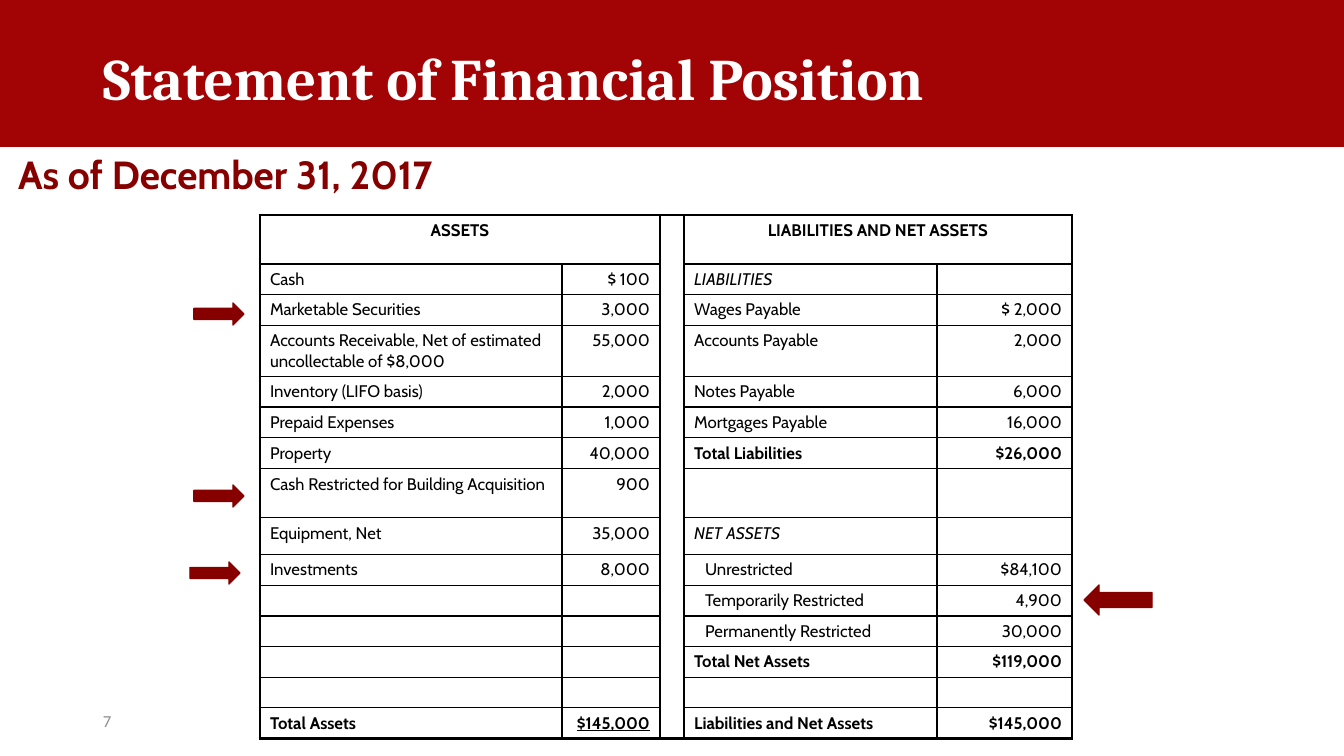
"""Build the Statement of Financial Position slide."""
from lxml import etree
from pptx import Presentation
from pptx import util as u
from pptx.dml.color import RGBColor
from pptx.enum import shapes, text
from pptx.oxml import ns

HEADING = "Statement of Financial Position"
DATE_LINE = "As of December 31, 2017"
PAGE = "7"
ROWS = [
    ("ASSETS", "", "LIABILITIES AND NET ASSETS", ""),
    ("Cash", "$ 100", "LIABILITIES", ""),
    ("Marketable Securities", "3,000", "Wages Payable", "$ 2,000"),
    ("Accounts Receivable, Net of estimated uncollectable of $8,000", "55,000",
     "Accounts Payable", "2,000"),
    ("Inventory (LIFO basis)", "2,000", "Notes Payable", "6,000"),
    ("Prepaid Expenses", "1,000", "Mortgages Payable", "16,000"),
    ("Property", "40,000", "Total Liabilities", "$26,000"),
    ("Cash Restricted for Building Acquisition", "900", "", ""),
    ("Equipment, Net", "35,000", "NET ASSETS", ""),
    ("Investments", "8,000", "Unrestricted", "$84,100"),
    ("", "", "Temporarily Restricted", "4,900"),
    ("", "", "Permanently Restricted", "30,000"),
    ("", "", "Total Net Assets", "$119,000"),
    ("", "", "", ""),
    ("Total Assets", "$145,000", "Liabilities and Net Assets", "$145,000"),
]
COLUMN_WIDTHS = [302, 98, 24, 253, 135]
ROW_HEIGHTS = [49, 30, 30, 51, 30, 30, 31, 49, 37, 30, 30, 30, 30, 30, 30]
ARROWS = [
    (194, 303, 50, 22, 0),
    (190, 562, 50, 22, 0),
    (194, 485, 50, 22, 0),
    (1084, 585, 68, 30, 180),
]
COLORS = {"banner": "A20305", "accent": "870000", "ink": "000000",
          "white": "FFFFFF", "page": "8C8C8C"}
EMU_PER_PX = 914400 / 100.8
SPACER = 2


def px(length):
    return u.Emu(round(length * EMU_PER_PX))


def color(name):
    return RGBColor.from_string(COLORS[name])


def style_runs(paragraph, size, font, color_name, bold=False, italic=False):
    for run in paragraph.runs:
        run.font.size = u.Pt(size)
        run.font.name = font
        run.font.color.rgb = color(color_name)
        run.font.bold = bold
        run.font.italic = italic


def fill_text(shape, content, size, font, color_name, bold=False, spacing=1.0):
    frame = shape.text_frame
    frame.text = content
    frame.word_wrap = True
    frame.auto_size = text.MSO_AUTO_SIZE.NONE
    frame.vertical_anchor = text.MSO_ANCHOR.MIDDLE
    paragraph = frame.paragraphs[0]
    paragraph.alignment = text.PP_ALIGN.LEFT
    paragraph.line_spacing = spacing
    style_runs(paragraph, size, font, color_name, bold)


def add_text(slide, box, *style):
    fill_text(slide.shapes.add_textbox(*map(px, box)), *style)


def add_block(slide, kind, box, color_name):
    shape = slide.shapes.add_shape(kind, *map(px, box))
    shape.shadow.inherit = False
    shape.fill.solid()
    shape.fill.fore_color.rgb = color(color_name)
    shape.line.color.rgb = color(color_name)
    shape.line.width = u.Pt(1)
    return shape


def set_borders(cell, row, column):
    last_row = row + max(cell.span_height, 1)
    last_column = column + max(cell.span_width, 1)
    outer = {"L": column == 0, "R": last_column == len(COLUMN_WIDTHS),
             "T": row == 0, "B": last_row == len(ROWS)}
    properties = cell._tc.get_or_add_tcPr()
    for side, is_outer in outer.items():
        width = u.Pt(2.25 if is_outer else 1)
        line = etree.SubElement(properties, ns.qn(f"a:ln{side}"), w=str(width))
        fill = etree.SubElement(line, ns.qn("a:solidFill"))
        etree.SubElement(fill, ns.qn("a:srgbClr"), val=COLORS["ink"])


def fill_cell(cell, content, row, column, bold):
    cell.text = content
    paragraph = cell.text_frame.paragraphs[0]
    is_amount = column in (1, 4)
    is_section = row > 0 and not is_amount and content.isupper()
    style_runs(paragraph, 12, "Cabin", "ink", bold, is_section)
    if not content:
        etree.SubElement(paragraph._p, ns.qn("a:endParaRPr"), sz="1200")
    if row == 0:
        paragraph.alignment = text.PP_ALIGN.CENTER
    elif is_amount:
        paragraph.alignment = text.PP_ALIGN.RIGHT
    if column == 3 and content.endswith("estricted"):
        cell.margin_left = px(21)


def add_statement(slide):
    frame = slide.shapes.add_table(
        len(ROWS), len(COLUMN_WIDTHS), px(260), px(215),
        px(sum(COLUMN_WIDTHS)), px(sum(ROW_HEIGHTS)))
    table = frame.table
    table.first_row = table.horz_banding = False
    for column, width in enumerate(COLUMN_WIDTHS):
        table.columns[column].width = px(width)
    for row, height in enumerate(ROW_HEIGHTS):
        table.rows[row].height = px(height)
    for first in (0, 3):
        table.cell(0, first).merge(table.cell(0, first + 1))
    table.cell(0, SPACER).merge(table.cell(len(ROWS) - 1, SPACER))

    for row, values in enumerate(ROWS):
        contents = values[:SPACER] + ("",) + values[SPACER:]
        for column, content in enumerate(contents):
            cell = table.cell(row, column)
            label = contents[0 if column < SPACER else 3]
            bold = row in (0, len(ROWS) - 1) or label.startswith("Total")
            fill_cell(cell, content, row, column, bold)
            if not cell.is_spanned:
                set_borders(cell, row, column)
            cell.fill.background()
    table.cell(len(ROWS) - 1, 1).text_frame.paragraphs[0].runs[0].font.underline = True


def main():
    presentation = Presentation()
    presentation.slide_width, presentation.slide_height = px(1344), px(756)
    slide = presentation.slides.add_slide(presentation.slide_layouts[5])

    title = slide.shapes.title
    title.left, title.top, title.width, title.height = map(px, (8, 86, 1139, 125))
    fill_text(title, DATE_LINE, 28, "Cabin", "accent", True, 0.75)
    title.text_frame.margin_top = px(66)
    title.text_frame.margin_bottom = px(5)

    add_text(slide, (93, 701, 302, 40), PAGE, 12, "Calibri", "page")
    add_statement(slide)
    for *box, rotation in ARROWS:
        arrow = add_block(slide, shapes.MSO_SHAPE.RIGHT_ARROW, box, "accent")
        arrow.rotation = rotation
    add_block(slide, shapes.MSO_SHAPE.RECTANGLE, (0, 0, 1344, 146), "banner")
    add_text(slide, (93, 8, 1159, 146), HEADING, 42, "Cambria", "white", True, 0.9)
    presentation.save("out.pptx")


if __name__ == "__main__":
    main()
